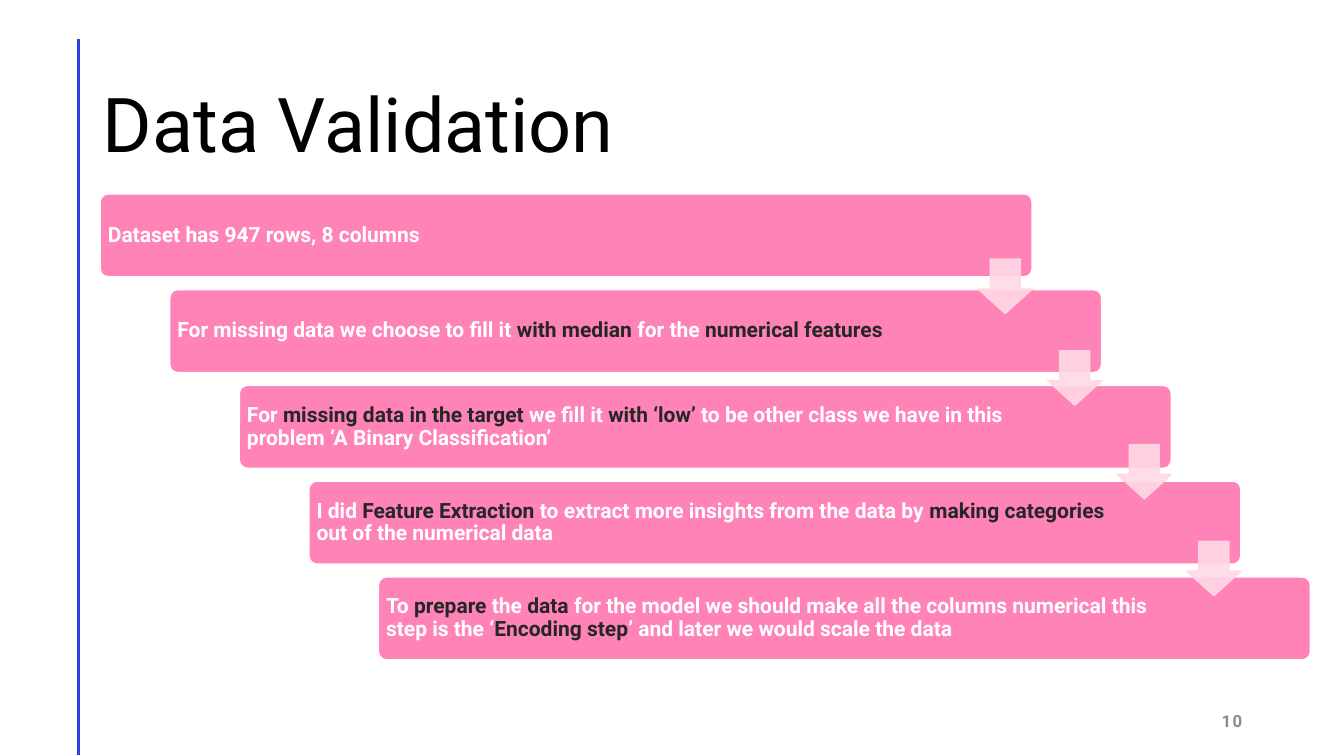
from lxml.etree import SubElement
from pptx import Presentation
from pptx.dml.color import RGBColor
from pptx.enum.shapes import MSO_CONNECTOR, MSO_SHAPE
from pptx.enum.text import MSO_ANCHOR, PP_ALIGN
from pptx.oxml.ns import qn
from pptx.util import Inches, Pt

FONT = "Roboto"
COLORS = {
    "rule": "2F3FE0",
    "title": "000000",
    "number": "8C8C8C",
    "step": "FF83B6",
    "white": "FFFFFF",
    "strong": "262626",
    "arrow": "FFD9E5",
}

# Each step alternates plain and emphasised text, starting with plain.
STEPS = [
    ["Dataset has 947 rows, 8 columns"],
    ["For missing data we choose to fill it ", "with median ", "for the ",
     "numerical features"],
    ["For ", "missing data in the target ", "we fill it ", "with ‘low’ ",
     "to be other class we have in this problem ‘A Binary Classification’"],
    ["I did ", "Feature Extraction",
     " to extract more insights from the data by ", "making categories ",
     "out of the numerical data"],
    ["To ", "prepare", " the ", "data",
     " for the model we should make all the columns numerical this step is the ‘",
     "Encoding step", "’ and later we would scale the data"],
]
STEP_LEFT, STEP_TOP = 0.99, 1.92
STEP_WIDTH, STEP_HEIGHT = 9.25, 0.83
SHIFT_RIGHT, SHIFT_DOWN = 0.69, 0.95
ARROW_SIZE = 0.54
ARROW_TOPS = [2.57, 3.48, 4.41, 5.37]


def rgb(name):
    return RGBColor.from_string(COLORS[name])


def add_text(slide, box, pieces, size, colors, bold=False, anchor=MSO_ANCHOR.MIDDLE,
             align=PP_ALIGN.LEFT, line_spacing=None, inset=None, tracking=None):
    """Add one paragraph whose pieces take the given colours in turn."""
    shape = slide.shapes.add_textbox(*map(Inches, box))
    frame = shape.text_frame
    frame.word_wrap = True
    frame.vertical_anchor = anchor
    if inset is not None:
        frame.margin_left = frame.margin_right = Inches(inset)
        frame.margin_top = frame.margin_bottom = Inches(inset)
    paragraph = frame.paragraphs[0]
    paragraph.alignment = align
    paragraph.line_spacing = line_spacing
    for index, piece in enumerate(pieces):
        run = paragraph.add_run()
        run.text = piece
        run.font.name = FONT
        run.font.size = Pt(size)
        run.font.bold = bold
        run.font.color.rgb = rgb(colors[index % len(colors)])
        if tracking is not None:
            run.font._element.set("spc", str(tracking * 100))


def add_block(slide, kind, box, adjustments, fill, line, line_width, opacity=None):
    shape = slide.shapes.add_shape(kind, *map(Inches, box))
    shape.shadow.inherit = False
    for index, value in enumerate(adjustments):
        shape.adjustments[index] = value
    shape.fill.solid()
    shape.fill.fore_color.rgb = rgb(fill)
    shape.line.color.rgb = rgb(line)
    shape.line.width = Pt(line_width)
    if opacity is not None:
        for color in shape._element.spPr.iter(qn("a:srgbClr")):
            SubElement(color, qn("a:alpha"), val=str(opacity * 1000))


def add_rule(slide):
    rule = slide.shapes.add_connector(
        MSO_CONNECTOR.STRAIGHT, Inches(0.78), Inches(0.39), Inches(0.78), Inches(7.49))
    rule.line.color.rgb = rgb("rule")
    rule.line.width = Pt(2)
    SubElement(rule._element.spPr, qn("a:effectLst"))


def add_step(slide, index, pieces):
    left = STEP_LEFT + index * SHIFT_RIGHT
    top = STEP_TOP + index * SHIFT_DOWN
    add_block(slide, MSO_SHAPE.ROUNDED_RECTANGLE, (left, top, STEP_WIDTH, STEP_HEIGHT),
              [0.1], "step", "white", 1.5)
    text_width = 7.97 if index else 8.25
    add_text(slide, (left + 0.02, top + 0.02, text_width, 0.79), pieces, 15,
             ["white", "strong"], bold=True, line_spacing=0.9, inset=0.06)


def add_arrow(slide, index, top):
    left = STEP_LEFT + STEP_WIDTH - ARROW_SIZE + index * SHIFT_RIGHT
    add_block(slide, MSO_SHAPE.DOWN_ARROW, (left, top, ARROW_SIZE, ARROW_SIZE),
              [0.45, 0.55], "arrow", "arrow", 1, opacity=90)
    arrow = slide.shapes[-1]
    arrow.adjustments[0], arrow.adjustments[1] = 0.55, 0.45


def main():
    presentation = Presentation()
    presentation.slide_width = Inches(13.33)
    presentation.slide_height = Inches(7.5)
    slide = presentation.slides.add_slide(presentation.slide_layouts[6])

    add_rule(slide)
    add_text(slide, (0.92, 0.07, 11.5, 1.65), ["Data Validation"], 54, ["title"],
             anchor=MSO_ANCHOR.BOTTOM, line_spacing=0.9)
    add_text(slide, (9.42, 6.95, 3, 0.4), ["10"], 12, ["number"], bold=True,
             align=PP_ALIGN.RIGHT, tracking=1)
    for index, pieces in enumerate(STEPS):
        add_step(slide, index, pieces)
    for index, top in enumerate(ARROW_TOPS):
        add_arrow(slide, index, top)

    presentation.save("out.pptx")


if __name__ == "__main__":
    main()
